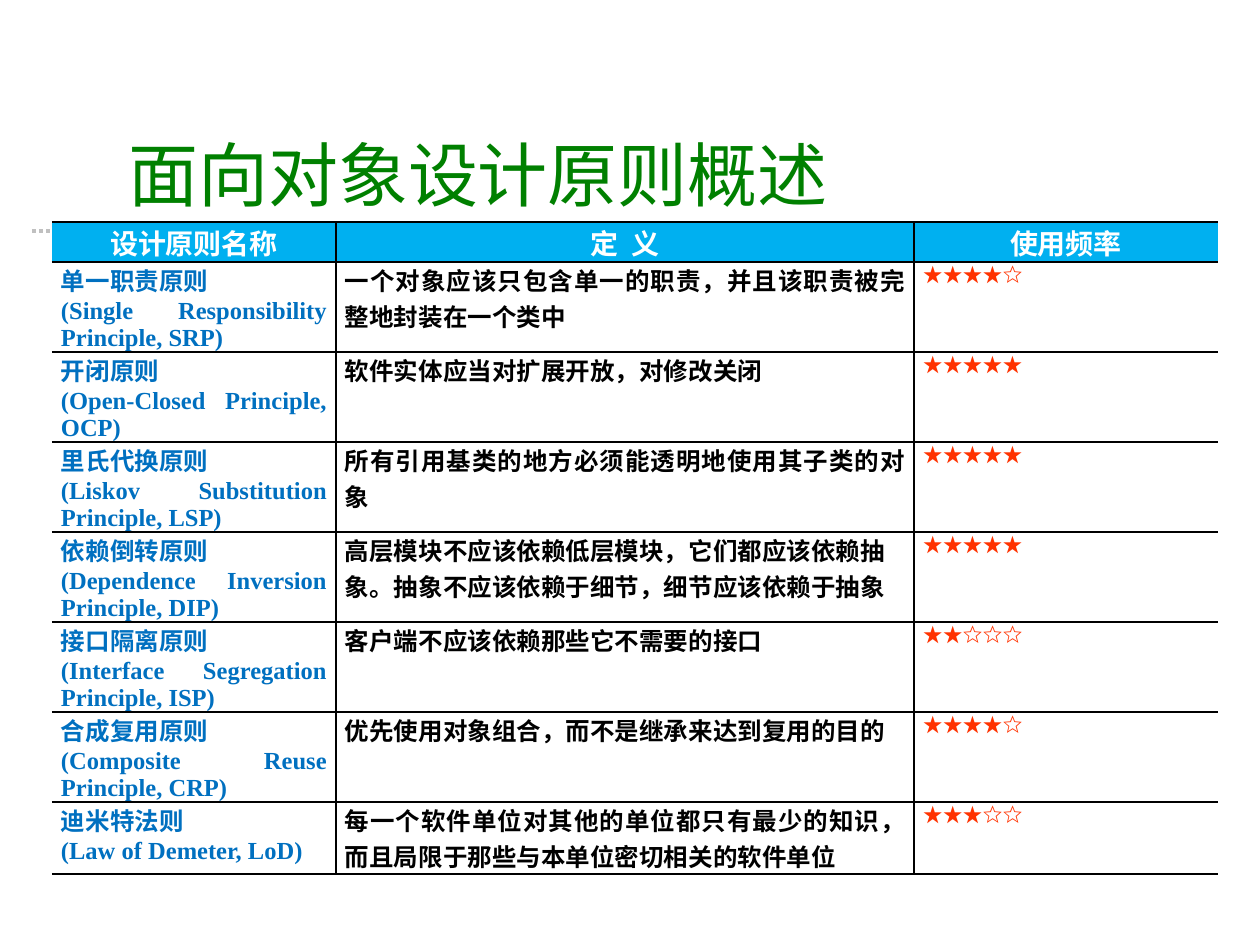
from lxml import etree
from pptx import Presentation
from pptx.dml.color import RGBColor
from pptx.enum.dml import MSO_LINE
from pptx.enum.shapes import MSO_CONNECTOR
from pptx.enum.text import MSO_ANCHOR, PP_ALIGN
from pptx.oxml.ns import qn
from pptx.util import Pt

PX = 7257
LEFT, CENTER, JUSTIFY = PP_ALIGN.LEFT, PP_ALIGN.CENTER, PP_ALIGN.JUSTIFY
MIDDLE = MSO_ANCHOR.MIDDLE
STRAIGHT = MSO_CONNECTOR.STRAIGHT
DOTTED = MSO_LINE.ROUND_DOT
SERIF = "Times New Roman"


def color(value):
    return RGBColor.from_string(value)


def write(frame, text, fill, size=14, font=SERIF, bold=True, align=JUSTIFY, asian=None):
    for index, line in enumerate(text.split("\n")):
        para = frame.add_paragraph() if index else frame.paragraphs[0]
        para.alignment = align
        span = para.add_run()
        span.text = line
        span.font.size = Pt(size)
        span.font.name = font
        span.font.bold = bold
        span.font.color.rgb = color(fill)
        if asian:
            etree.SubElement(span.font._element, qn("a:ea"), typeface=asian)


deck = Presentation()
deck.slide_width = 1260 * PX
deck.slide_height = 945 * PX
page = deck.slides.add_slide(deck.slide_layouts[6])

rule = page.shapes.add_connector(STRAIGHT, 32 * PX, 231 * PX, 672 * PX, 231 * PX)
rule.line.color.rgb = color("C0C0C0")
rule.line.width = Pt(2)
rule.line.dash_style = DOTTED
etree.SubElement(rule.line._get_or_add_ln(), qn("a:tailEnd"), type="oval")
etree.SubElement(rule._element.spPr, qn("a:effectLst"))

title = page.shapes.add_textbox(116 * PX, 126 * PX, 872 * PX, 94 * PX)
title.text_frame.word_wrap = True
title.text_frame.vertical_anchor = MIDDLE
write(title.text_frame, "面向对象设计原则概述", "008000",
      size=40, font="Lato", bold=False, align=LEFT)

headings = ["设计原则名称", "定  义", "使用频率"]
principles = [
    ("单一职责原则", "Single Responsibility Principle, SRP",
     "一个对象应该只包含单一的职责，并且该职责被完整地封装在一个类中", 4, JUSTIFY),
    ("开闭原则", "Open-Closed Principle, OCP",
     "软件实体应当对扩展开放，对修改关闭", 5, JUSTIFY),
    ("里氏代换原则", "Liskov Substitution Principle, LSP",
     "所有引用基类的地方必须能透明地使用其子类的对象", 5, JUSTIFY),
    ("依赖倒转原则", "Dependence Inversion Principle, DIP",
     "高层模块不应该依赖低层模块，它们都应该依赖抽象。抽象不应该依赖于细节，细节应该依赖于抽象",
     5, LEFT),
    ("接口隔离原则", "Interface Segregation Principle, ISP",
     "客户端不应该依赖那些它不需要的接口", 2, JUSTIFY),
    ("合成复用原则", "Composite Reuse Principle, CRP",
     "优先使用对象组合，而不是继承来达到复用的目的", 4, JUSTIFY),
    ("迪米特法则", "Law of Demeter, LoD",
     "每一个软件单位对其他的单位都只有最少的知识，而且局限于那些与本单位密切相关的软件单位",
     3, JUSTIFY),
]
widths = [284, 578, 304]
heights = [40] + [90] * 6 + [72]

table = page.shapes.add_table(
    len(heights), len(widths), 52 * PX, 222 * PX, sum(widths) * PX, sum(heights) * PX
).table
for column, width in zip(table.columns, widths):
    column.width = width * PX
for row, height in zip(table.rows, heights):
    row.height = height * PX

for row_index in range(len(heights)):
    for column_index in range(len(widths)):
        cell = table.cell(row_index, column_index)
        cell.margin_left = cell.margin_right = 9 * PX
        cell.margin_top = cell.margin_bottom = 0
        borders = {"a:lnL": column_index > 0, "a:lnR": column_index < len(widths) - 1,
                   "a:lnT": True, "a:lnB": True}
        for tag, visible in borders.items():
            edge = etree.SubElement(cell._tc.get_or_add_tcPr(), qn(tag), w=str(Pt(1)))
            if visible:
                paint = etree.SubElement(edge, qn("a:solidFill"))
                etree.SubElement(paint, qn("a:srgbClr"), val="000000")
            else:
                etree.SubElement(edge, qn("a:noFill"))
        cell.fill.solid()
        cell.fill.fore_color.rgb = color("FFFFFF" if row_index else "00B0F0")

for column_index, heading in enumerate(headings):
    write(table.cell(0, column_index).text_frame, heading, "FFFFFF", size=16, align=CENTER)

for row_index, (name, english, definition, stars, align) in enumerate(principles, 1):
    name_cell, definition_cell, rating_cell = table.rows[row_index].cells
    write(name_cell.text_frame, f"{name}\n({english})", "0070C0")
    write(definition_cell.text_frame, definition, "000000", align=align)
    write(rating_cell.text_frame, "★" * stars + "☆" * (5 - stars), "FF3300",
          bold=False, asian=SERIF)

deck.save("out.pptx")
